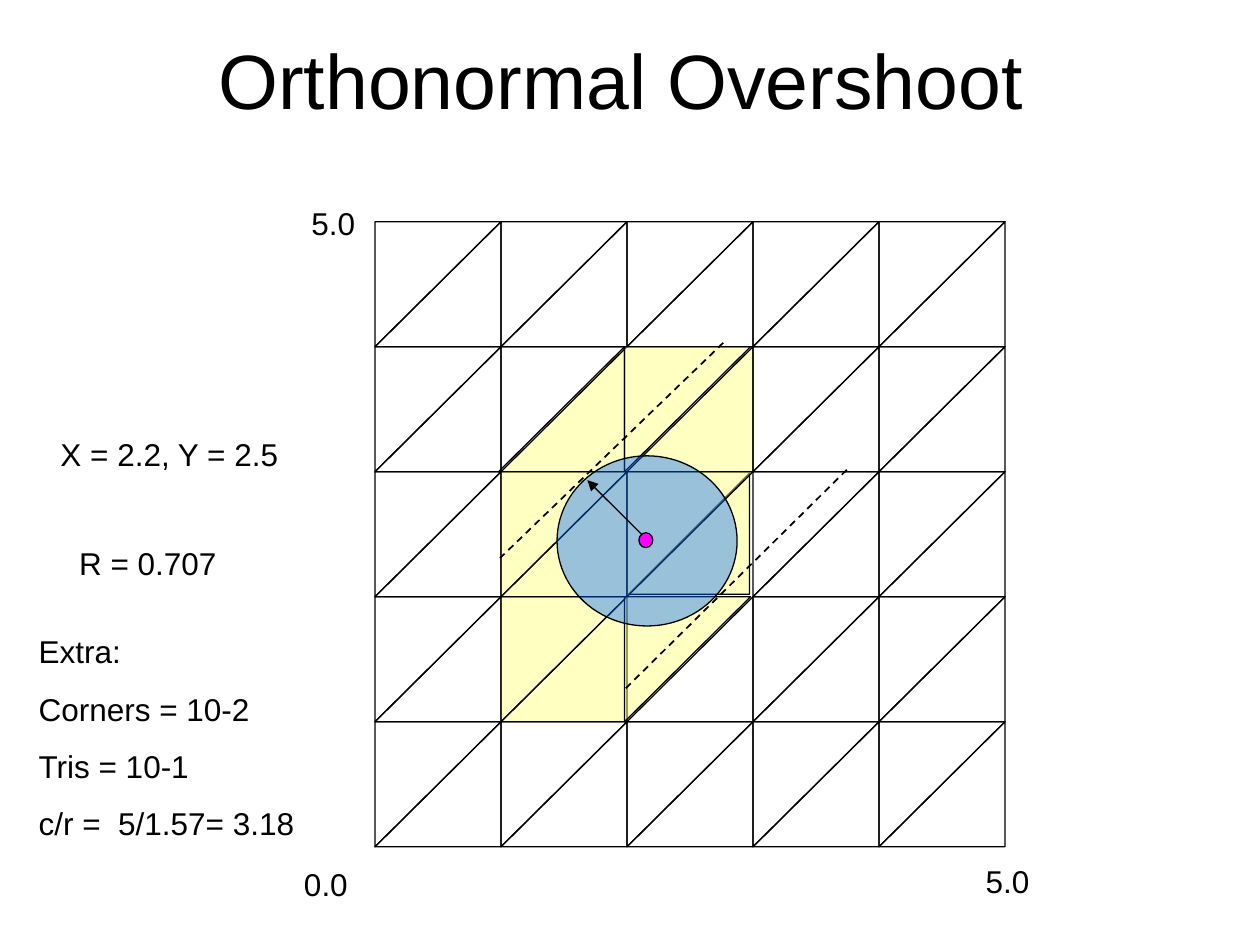
from dataclasses import dataclass
from itertools import product

from lxml.etree import SubElement
from pptx import Presentation
from pptx.dml.color import RGBColor
from pptx.enum.dml import MSO_LINE
from pptx.enum.shapes import MSO_CONNECTOR, MSO_SHAPE
from pptx.enum.text import MSO_ANCHOR, MSO_AUTO_SIZE, PP_ALIGN
from pptx.oxml.ns import qn
from pptx.util import Cm, Pt


@dataclass(frozen=True)
class Theme:
    font: str = "Arial"
    ink: str = "000000"
    touched: str = "FFFF66"
    disc: str = "0066FF"
    centre: str = "FF00FF"
    veil: int = 40
    title_size: float = 44
    label_size: float = 18
    paragraph_gap: float = 11.2
    thin: float = 0.75
    dashed: float = 1


class Sketch:
    def __init__(self, slide, theme):
        self.slide = slide
        self.theme = theme
        self.layer = slide.shapes

    def start_group(self):
        self.layer = self.slide.shapes.add_group_shape().shapes

    def end_group(self):
        self.layer = self.slide.shapes

    def ink_line(self, line, width):
        line.color.rgb = RGBColor.from_string(self.theme.ink)
        line.width = Pt(width)

    def text(self, left, top, width, height, lines, size=None,
             align=PP_ALIGN.CENTER, anchor=MSO_ANCHOR.TOP):
        box = self.layer.add_textbox(Cm(left), Cm(top), Cm(width), Cm(height))
        frame = box.text_frame
        frame.word_wrap = True
        frame.auto_size = MSO_AUTO_SIZE.NONE
        frame.vertical_anchor = anchor
        frame.text = "\n".join(lines)
        for index, paragraph in enumerate(frame.paragraphs):
            paragraph.alignment = align
            if index:
                paragraph.space_before = Pt(self.theme.paragraph_gap)
            paragraph.font.name = self.theme.font
            paragraph.font.size = Pt(size or self.theme.label_size)
            paragraph.font.color.rgb = RGBColor.from_string(self.theme.ink)

    def shape(self, preset, left, top, width, height, fill=None, opacity=100):
        drawn = self.layer.add_shape(preset, Cm(left), Cm(top), Cm(width), Cm(height))
        drawn.shadow.inherit = False
        self.ink_line(drawn.line, self.theme.thin)
        if fill is None:
            drawn.fill.background()
            return drawn
        drawn.fill.solid()
        drawn.fill.fore_color.rgb = RGBColor.from_string(fill)
        if opacity < 100:
            colour = drawn.fill._xPr.find(qn("a:solidFill"))[0]
            SubElement(colour, qn("a:alpha"), val=str(opacity * 1000))
        return drawn

    def half_cell(self, left, top, width, height, rotation, touched):
        shift = (width - height) / 2
        triangle = self.shape(
            MSO_SHAPE.RIGHT_TRIANGLE, left + shift, top - shift, height, width,
            self.theme.touched if touched else None, self.theme.veil)
        triangle.rotation = rotation

    def line(self, start, end, dashed=False, arrow=False):
        drawn = self.layer.add_connector(
            MSO_CONNECTOR.STRAIGHT, *(Cm(value) for value in start + end))
        SubElement(drawn._element.spPr, qn("a:effectLst"))
        self.ink_line(drawn.line, self.theme.dashed if dashed else self.theme.thin)
        if dashed:
            drawn.line.dash_style = MSO_LINE.DASH
        if arrow:
            SubElement(drawn.line._get_or_add_ln(), qn("a:tailEnd"), type="triangle")


LOWER, UPPER = 270, 90
CELLS = 5
MESH_LEFT, MESH_TOP = 7.56, 4.47
CELL_WIDTH, CELL_HEIGHT = 2.54, 2.52
TOUCHED = {
    LOWER: {(1, 1), (2, 1), (1, 2), (2, 2), (1, 3)},
    UPPER: {(2, 1), (1, 2), (2, 2), (1, 3), (2, 3)},
}
NUDGED_LEFT = {(1, 1, LOWER), (2, 1, UPPER), (2, 3, UPPER)}
NUDGE = 0.05
INSET_HALF = (2, 2, LOWER)
INSET, INSET_SIZE = 0.03, 2.44


def draw_mesh(sketch):
    sketch.start_group()
    for row, column, half in product(range(CELLS), range(CELLS), (LOWER, UPPER)):
        left = MESH_LEFT + column * CELL_WIDTH
        top = MESH_TOP + row * CELL_HEIGHT
        width, height = CELL_WIDTH, CELL_HEIGHT
        if (column, row, half) in NUDGED_LEFT:
            left -= NUDGE
        if (column, row, half) == INSET_HALF:
            left, top = left + INSET, top + INSET
            width = height = INSET_SIZE
        sketch.half_cell(left, top, width, height, half,
                         (column, row) in TOUCHED[half])
    sketch.end_group()


def draw_overshoot(sketch):
    theme = sketch.theme
    sketch.start_group()
    sketch.line((14.58, 6.91), (10.08, 11.25), dashed=True)
    sketch.shape(MSO_SHAPE.OVAL, 11.23, 9.19, 3.63, 3.43, theme.disc, theme.veil)
    sketch.line((13.03, 10.87), (11.84, 9.68), arrow=True)
    sketch.shape(MSO_SHAPE.OVAL, 12.88, 10.74, 0.28, 0.3, theme.centre)
    sketch.line((17.07, 9.47), (12.6, 13.89), dashed=True)
    sketch.end_group()


def main():
    deck = Presentation()
    deck.slide_width, deck.slide_height = Cm(25.4), Cm(19.05)
    sketch = Sketch(deck.slides.add_slide(deck.slide_layouts[6]), Theme())

    sketch.text(1.09, 0, 22.86, 3.17, ["Orthonormal Overshoot"],
                size=sketch.theme.title_size, anchor=MSO_ANCHOR.MIDDLE)
    draw_mesh(sketch)
    for left, top, width, label in (
        (5.16, 17.32, 2.82, "0.0"),
        (5.31, 3.99, 2.82, "5.0"),
        (18.9, 17.25, 2.82, "5.0"),
        (0.81, 8.64, 5.21, "X = 2.2, Y = 2.5"),
        (0.81, 10.85, 4.34, "R = 0.707"),
    ):
        sketch.text(left, top, width, 1.02, [label])
    draw_overshoot(sketch)
    sketch.text(0.53, 12.62, 6.76, 5.66,
                ["Extra:", "Corners = 10-2", "Tris = 10-1", "c/r =  5/1.57= 3.18"],
                align=PP_ALIGN.LEFT)
    deck.save("out.pptx")


if __name__ == "__main__":
    main()
